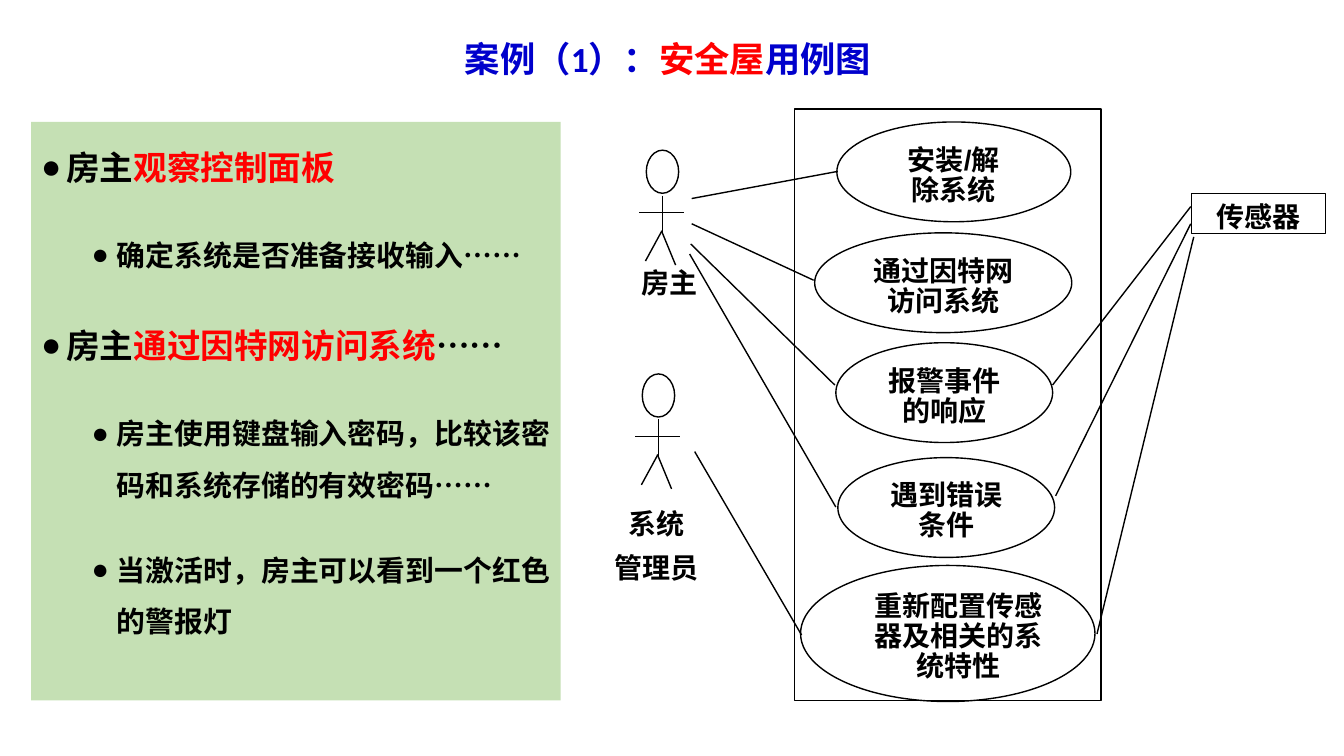
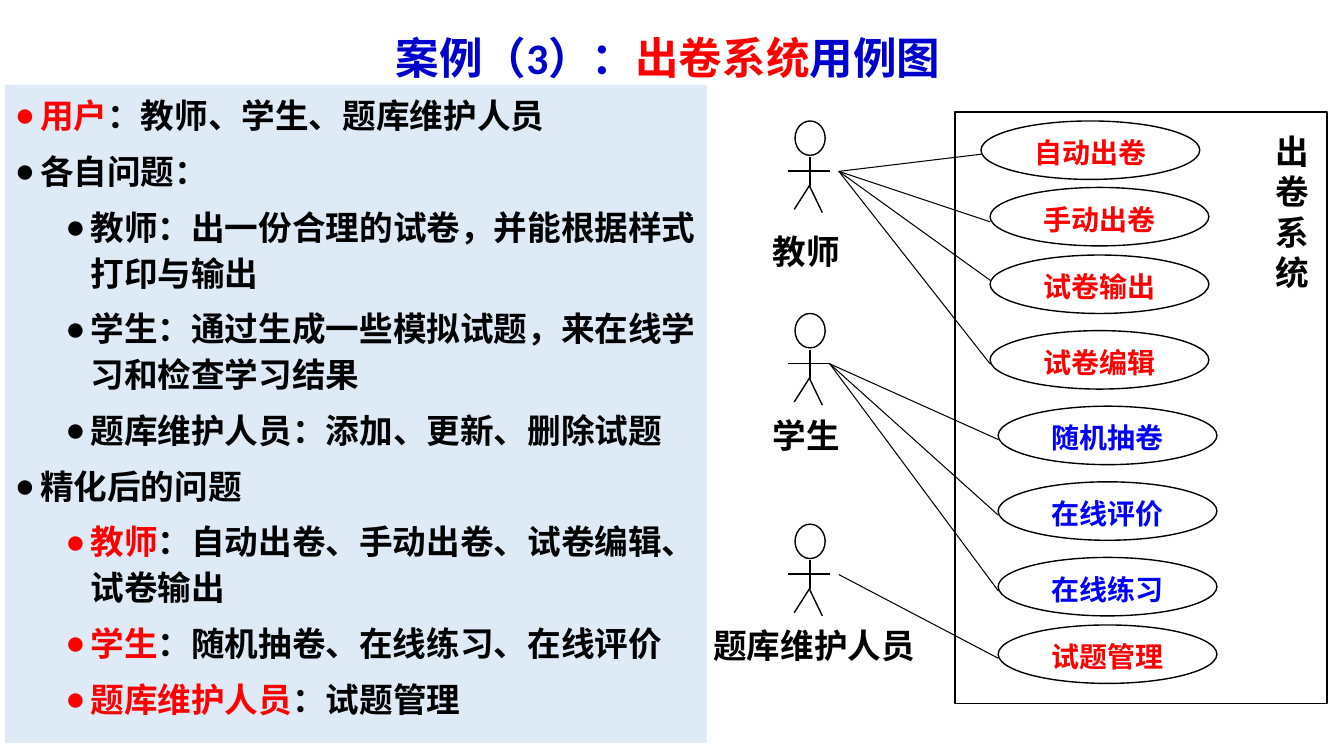
from dataclasses import dataclass
from lxml.etree import SubElement
from pptx import Presentation
from pptx.dml.color import RGBColor
from pptx.enum.shapes import MSO_CONNECTOR as LINE, MSO_SHAPE as SHAPE
from pptx.enum.text import MSO_ANCHOR as ANCHOR, PP_ALIGN as ALIGN
from pptx.oxml.ns import qn
from pptx.util import Inches, Pt


@dataclass(frozen=True)
class Theme:
    black: str = "000000"
    red: str = "FF0000"
    blue: str = "0000FF"
    navy: str = "0000CC"
    green_panel: str = "C5E0B4"
    blue_panel: str = "DEEBF7"
    cjk: str = "Noto Sans CJK SC"
    latin: str = "Arial"
    heading: str = "Calibri"
    serif: str = "Times New Roman"
    label: float = 20
    large: float = 24
    line_height: float = 1.19
    tight: float = 0.9


T = Theme()

HOUSE = {
    "title": ("案例（1）：", "安全屋", "用例图"),
    "title_box": (1.94, 0.21, 9.37, 0.6),
    "title_size": 25.2,
    "panel": (0.31, 1.21, 5.25, 5.74),
    "panel_fill": T.green_panel,
    "panel_font": T.cjk,
    "level_sizes": (24, 20.6),
    "spacing": (1.5, 4, 20),
    "points": [
        (0, [("房主", T.black), ("观察控制面板", T.red)]),
        (1, [("确定系统是否准备接收输入……", T.black)]),
        (0, [("房主", T.black), ("通过因特网访问系统", T.red), ("……", T.black)]),
        (1, [("房主使用键盘输入密码，比较该密码和系统存储的有效密码……", T.black)]),
        (1, [("当激活时，房主可以看到一个红色的警报灯", T.black)]),
    ],
    "system": (7.88, 1.08, 3.04, 5.87),
    "actor_size": (0.44, 1.14),
    "actors": [(6.34, 1.49), (6.3, 3.71)],
    "labels": [
        (["房主"], (6.13, 2.58, 1.02, 0.4), T.label, T.latin, T.tight),
        (["系统", "管理员"], (5.9, 4.95, 1.23, 0.87), T.label, T.latin, T.tight),
    ],
    "cases": [
        ("安装/解除系统", (8.3, 1.21, 2.32, 0.99), T.black, (0.25, 0.25)),
        ("通过因特网访问系统", (8.08, 2.31, 2.55, 0.99), T.black, (0.1, 0.1)),
        ("报警事件的响应", (8.29, 3.4, 2.15, 0.99), T.black, (0.1, 0.1)),
        ("遇到错误条件", (8.31, 4.54, 2.15, 0.99), T.black, (0.1, 0.1)),
        ("重新配置传感器及相关的系统特性", (7.94, 5.61, 2.92, 1.35), T.black, (0.22, 0)),
    ],
    "link_width": 1,
    "links": [
        ((6.86, 1.97), (8.31, 1.7)), ((6.86, 2.22), (8.07, 2.78)),
        ((6.85, 2.42), (8.28, 3.82)), ((6.84, 2.52), (8.29, 5.03)),
        ((6.89, 4.48), (7.95, 6.3)), ((11.81, 2.05), (10.44, 3.82)),
        ((11.81, 2.22), (10.47, 4.92)), ((11.84, 2.35), (10.88, 6.29)),
    ],
}
SENSOR = ("传感器", (11.82, 1.92, 1.33, 0.4))

TEACHER, STUDENT, KEEPER = (8.32, 1.7), (8.23, 3.61), (8.32, 5.7)
EXAM_CASES = [
    ("自动出卷", 9.73, 1.2, T.red, TEACHER, 1.53),
    ("手动出卷", 9.82, 1.86, T.red, TEACHER, 2.2),
    ("试卷输出", 9.82, 2.53, T.red, TEACHER, 2.78),
    ("试卷编辑", 9.82, 3.28, T.red, TEACHER, 3.61),
    ("随机抽卷", 9.9, 4.03, T.blue, STUDENT, 4.36),
    ("在线评价", 9.9, 4.78, T.blue, STUDENT, 5.11),
    ("在线练习", 9.9, 5.53, T.blue, STUDENT, 5.86),
    ("试题管理", 9.9, 6.2, T.red, KEEPER, 6.53),
]
EXAM = {
    "title": ("案例（3）：", "出卷系统", "用例图"),
    "title_box": (2.02, 0.13, 9.21, 0.71),
    "title_size": 31.1,
    "panel": (0.05, 0.84, 6.96, 6.53),
    "panel_fill": T.blue_panel,
    "panel_font": T.heading,
    "level_sizes": (24, 24),
    "spacing": (1.15, 3, 4),
    "points": [
        (0, [("用户", T.red), ("：教师、学生、题库维护人员", T.black)]),
        (0, [("各自问题：", T.black)]),
        (1, [("教师：出一份合理的试卷，并能根据样式打印与输出", T.black)]),
        (1, [("学生：通过生成一些模拟试题，来在线学习和检查学习结果", T.black)]),
        (1, [("题库维护人员：添加、更新、删除试题", T.black)]),
        (0, [("精化后的问题", T.black)]),
        (1, [("教师", T.red), ("：自动出卷、手动出卷、试卷编辑、试卷输出", T.black)]),
        (1, [("学生", T.red), ("：随机抽卷、在线练习、在线评价", T.black)]),
        (1, [("题库维护人员", T.red), ("：试题管理", T.black)]),
    ],
    "system": (9.47, 1.11, 3.69, 5.87),
    "actor_size": (0.41, 0.91),
    "actors": [(7.82, 1.2), (7.82, 3.11), (7.82, 5.2)],
    "labels": [
        (["教师"], (7.5, 2.2, 1, 0.5), T.large, T.serif, 1),
        (["学生"], (7.5, 4.03, 1, 0.5), T.large, T.serif, 1),
        (["题库维护人员"], (6.9, 6.11, 2.35, 0.5), T.large, T.serif, 1),
        (["出卷系统"], (12.57, 1.2, 0.5, 1.72), T.large, T.serif, 1),
    ],
    "cases": [(text, (x, y, 2.17, 0.58), color, (0.1, 0.1))
              for text, x, y, color, _, _ in EXAM_CASES],
    "link_width": 0.75,
    "links": [(actor, (x, end_y)) for _, x, _, _, actor, end_y in EXAM_CASES],
}

HEAD = (0.16, 0, 0.73, 0.375)
LIMBS = [((0, 0.545), (1, 0.545)), ((0.52, 0.395), (0.52, 0.71)),
         ((0.5, 0.71), (0.14, 0.965)), ((0.5, 0.7), (0.82, 1))]


def rgb(color):
    return RGBColor.from_string(color)


def inches(values):
    return [Inches(value) for value in values]


def draw_shape(shapes, kind, box, fill=None):
    outline = shapes.add_shape(kind, *inches(box))
    outline.shadow.inherit = False
    if fill:
        outline.fill.solid()
        outline.fill.fore_color.rgb = rgb(fill)
        outline.line.fill.background()
    else:
        outline.fill.background()
        outline.line.color.rgb = rgb(T.black)
        outline.line.width = Pt(1)
    return outline


def draw_line(shapes, start, end, width=1):
    link = shapes.add_connector(LINE.STRAIGHT, *inches((*start, *end)))
    link.line.color.rgb = rgb(T.black)
    link.line.width = Pt(width)
    SubElement(link._element.spPr, qn("a:effectLst"))


def style(paragraph, size, font, spacing, color=T.black):
    paragraph.line_spacing = Pt(round(size * T.line_height * spacing, 1))
    face = paragraph.font
    face.size, face.bold, face.name = Pt(size), True, font
    face.color.rgb = rgb(color)
    SubElement(face._element, qn("a:ea"), typeface=T.cjk)


def add_runs(paragraph, runs):
    for text, color in runs:
        run = paragraph.add_run()
        run.text = text
        if color != T.black:
            run.font.color.rgb = rgb(color)


def set_frame(frame, sides, top, bottom, anchor):
    frame.word_wrap = True
    frame.vertical_anchor = anchor
    frame.margin_left, frame.margin_right = inches(sides)
    frame.margin_top, frame.margin_bottom = inches((top, bottom))


def write_centred(holder, lines, size, font, spacing, color=T.black, sides=(0.1, 0.1)):
    frame = holder.text_frame
    set_frame(frame, sides, 0.08, 0, ANCHOR.MIDDLE)
    for index, runs in enumerate(lines):
        paragraph = frame.add_paragraph() if index else frame.paragraphs[0]
        paragraph.alignment = ALIGN.CENTER
        if index:
            paragraph.space_before = Pt(size / 2)
        style(paragraph, size, font, spacing, color)
        add_runs(paragraph, runs)


def add_bullet(paragraph, level, color):
    props = paragraph._p.get_or_add_pPr()
    props.set("marL", str(Inches(0.25 + 0.5 * level)))
    props.set("indent", str(Inches(-0.25)))
    SubElement(SubElement(props, qn("a:buClr")), qn("a:srgbClr"), val=color)
    SubElement(props, qn("a:buFont"), typeface=T.latin)
    SubElement(props, qn("a:buChar"), char="●")


def draw_panel(shapes, content):
    panel = draw_shape(shapes, SHAPE.RECTANGLE, content["panel"], content["panel_fill"])
    frame = panel.text_frame
    set_frame(frame, (0.1, 0.05), 0.05, 0.05, ANCHOR.TOP)
    spacing, before, after = content["spacing"]
    for index, (level, runs) in enumerate(content["points"]):
        paragraph = frame.add_paragraph() if index else frame.paragraphs[0]
        paragraph.level = level
        paragraph.alignment = ALIGN.LEFT
        add_bullet(paragraph, level, runs[0][1])
        paragraph.space_before, paragraph.space_after = Pt(before), Pt(after)
        style(paragraph, content["level_sizes"][level], content["panel_font"], spacing)
        add_runs(paragraph, runs)


def draw_actor(shapes, origin, size):
    figure = shapes.add_group_shape().shapes
    (left, top), (width, height) = origin, size

    def place(x, y):
        return left + x * width, top + y * height

    x, y, head_width, head_height = HEAD
    draw_shape(figure, SHAPE.OVAL, (*place(x, y), head_width * width, head_height * height))
    for start, end in LIMBS:
        draw_line(figure, place(*start), place(*end))


def draw_slide(deck, content):
    shapes = deck.slides.add_slide(deck.slide_layouts[6]).shapes
    heading = shapes.add_textbox(*inches(content["title_box"]))
    title_runs = list(zip(content["title"], (T.navy, T.red, T.navy)))
    write_centred(heading, [title_runs], content["title_size"], T.heading, 1.15)
    draw_panel(shapes, content)
    draw_shape(shapes, SHAPE.RECTANGLE, content["system"])
    for origin in content["actors"]:
        draw_actor(shapes, origin, content["actor_size"])
    for lines, box, size, font, spacing in content["labels"]:
        label = shapes.add_textbox(*inches(box))
        sides = (0, 0) if box[2] < 1 else (0.1, 0.1)
        write_centred(label, [[(line, T.black)] for line in lines], size, font, spacing,
                      sides=sides)
    for text, box, color, sides in content["cases"]:
        case = draw_shape(shapes, SHAPE.OVAL, box)
        write_centred(case, [[(text, color)]], T.label, T.latin, T.tight, color, sides)
    for start, end in content["links"]:
        draw_line(shapes, start, end, content["link_width"])
    return shapes


def main():
    """Build the two use-case slides and save them."""
    deck = Presentation()
    deck.slide_width, deck.slide_height = Inches(13.33), Inches(7.5)
    house = draw_slide(deck, HOUSE)
    name, box = SENSOR
    sensor = draw_shape(house, SHAPE.RECTANGLE, box)
    write_centred(sensor, [[(name, T.black)]], T.label, T.latin, T.tight)
    draw_slide(deck, EXAM)
    deck.save("out.pptx")


if __name__ == "__main__":
    main()
